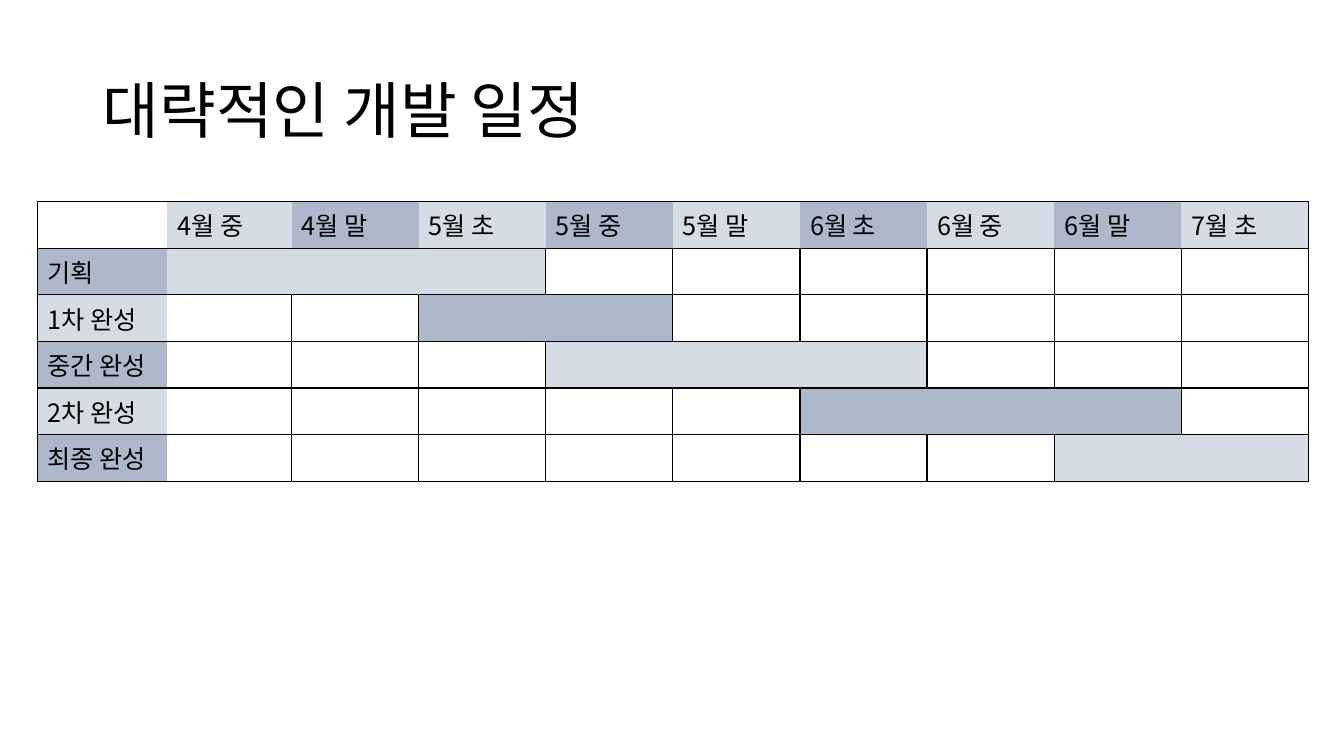
from dataclasses import dataclass

import lxml.etree
import pptx
import pptx.dml.color
import pptx.enum.text
import pptx.oxml.ns
import pptx.util

Inches = pptx.util.Inches
qn = pptx.oxml.ns.qn


@dataclass(frozen=True)
class Theme:
    font: str = "Noto Sans CJK KR"
    ink: str = "000000"
    background: str = "FFFFFF"
    light: str = "D6DCE5"
    dark: str = "ADB9CA"
    title_size: int = 44
    table_size: int = 18
    border_width: int = 1


THEME = Theme()
TITLE = "대략적인 개발 일정"
PERIODS = ["4월 중", "4월 말", "5월 초", "5월 중", "5월 말",
           "6월 초", "6월 중", "6월 말", "7월 초"]
STAGES = [("기획", 1, 3), ("1차 완성", 3, 4), ("중간 완성", 4, 6),
          ("2차 완성", 6, 8), ("최종 완성", 8, 9)]
PERIOD_WIDTH = 1.26
COLUMN_WIDTHS = [1.29, 1.23] + [PERIOD_WIDTH] * (len(PERIODS) - 1)


def rgb(color):
    return pptx.dml.color.RGBColor.from_string(color)


def write(paragraph, wording, size):
    run = paragraph.add_run()
    run.text = wording
    run.font.size = pptx.util.Pt(size)
    run.font.name = THEME.font
    run.font.bold = False
    run.font.color.rgb = rgb(THEME.ink)
    east_asian = lxml.etree.Element(qn("a:ea"), typeface=THEME.font)
    run._r.get_or_add_rPr().find(qn("a:latin")).addnext(east_asian)


def shade(cell, color):
    if color:
        cell.fill.solid()
        cell.fill.fore_color.rgb = rgb(color)
    else:
        cell.fill.background()


def set_borders(cell, left, right):
    properties = cell._tc.get_or_add_tcPr()
    sides = [("a:lnL", left), ("a:lnR", right), ("a:lnT", True), ("a:lnB", True)]
    for position, (tag, visible) in enumerate(sides):
        border = lxml.etree.Element(qn(tag), w=str(pptx.util.Pt(THEME.border_width)))
        if visible:
            solid = lxml.etree.SubElement(border, qn("a:solidFill"))
            lxml.etree.SubElement(solid, qn("a:srgbClr"), val=THEME.ink)
        else:
            lxml.etree.SubElement(border, qn("a:noFill"))
        properties.insert(position, border)


def alternate(index):
    return THEME.light if index % 2 else THEME.dark


def add_title(slide, left, top, width, height):
    title = slide.shapes.title
    title.left, title.top = Inches(left), Inches(top)
    title.width, title.height = Inches(width), Inches(height)
    frame = title.text_frame
    frame.word_wrap = True
    frame.auto_size = pptx.enum.text.MSO_AUTO_SIZE.NONE
    frame.vertical_anchor = pptx.enum.text.MSO_ANCHOR.MIDDLE
    heading = frame.paragraphs[0]
    heading.alignment = pptx.enum.text.PP_ALIGN.LEFT
    heading.line_spacing = 0.9
    write(heading, TITLE, THEME.title_size)


def add_schedule(slide, left, top, width, height):
    row_count, column_count = len(STAGES) + 1, len(PERIODS) + 1
    schedule = slide.shapes.add_table(
        row_count, column_count, Inches(left), Inches(top),
        Inches(width), Inches(height)).table
    schedule.first_row = False
    schedule.horz_banding = False
    for column, share in zip(schedule.columns, COLUMN_WIDTHS):
        column.width = Inches(width * share / sum(COLUMN_WIDTHS))

    rows = [("", 1, len(PERIODS))] + STAGES
    for row, (stage, start, end) in enumerate(rows):
        def has_line(edge):
            outer = edge in (0, column_count)
            return outer or (edge > 1 and not start < edge <= end)

        for column in range(column_count):
            cell = schedule.cell(row, column)
            label = stage if column == 0 else PERIODS[column - 1] if row == 0 else ""
            if label:
                write(cell.text_frame.paragraphs[0], label, THEME.table_size)
            if column == 0:
                color = alternate(row + 1) if row else None
            elif row == 0:
                color = alternate(column)
            else:
                color = alternate(row) if start <= column <= end else None
            shade(cell, color)
            set_borders(cell, has_line(column), has_line(column + 1))


def build_schedule_slide(presentation):
    slide = presentation.slides.add_slide(presentation.slide_layouts[5])
    slide.background.fill.solid()
    slide.background.fill.fore_color.rgb = rgb(THEME.background)
    add_title(slide, 0.92, 0.4, 11.5, 1.45)
    add_schedule(slide, 0.37, 2, 12.61, 2.43)


presentation = pptx.Presentation()
presentation.slide_width = Inches(13.33)
presentation.slide_height = Inches(7.5)
build_schedule_slide(presentation)
presentation.save("out.pptx")
